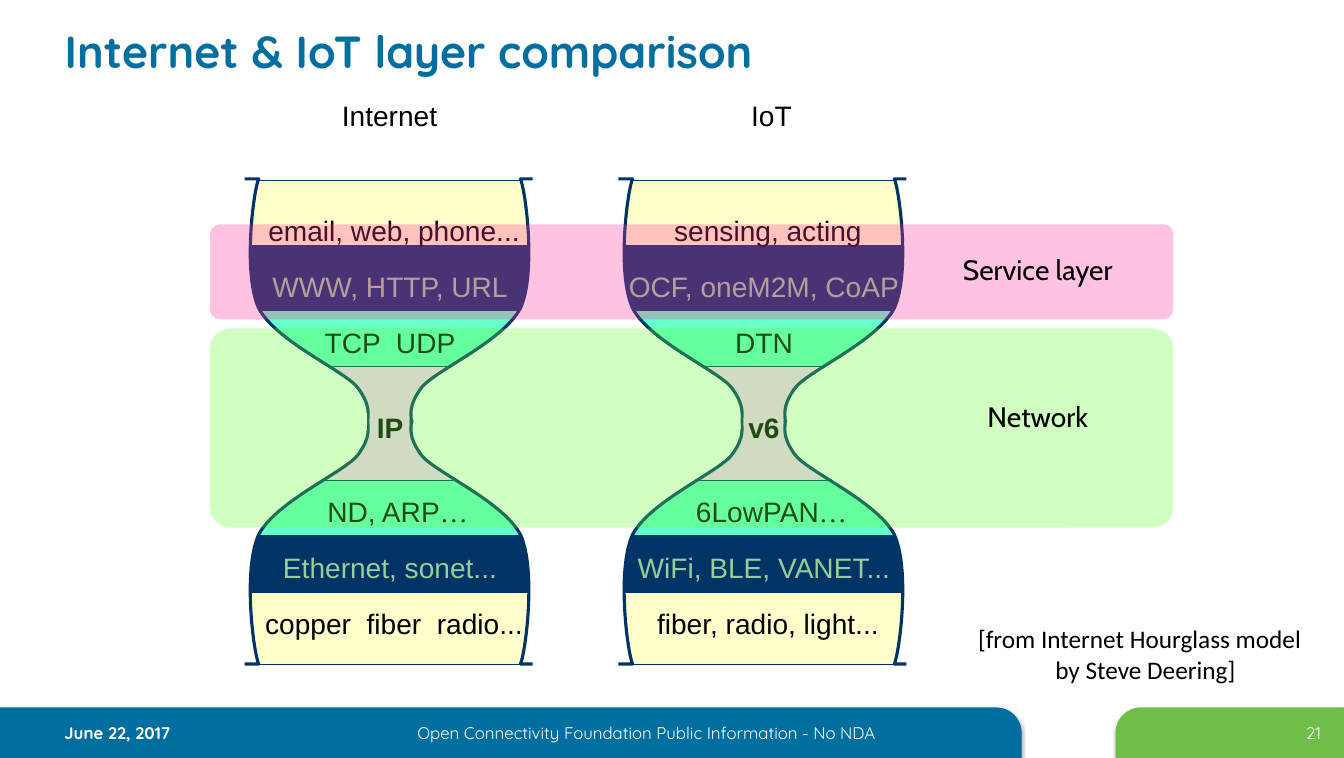
from dataclasses import dataclass
from lxml.etree import SubElement
from pptx import Presentation
from pptx.dml.color import RGBColor
from pptx.enum.shapes import MSO_SHAPE
from pptx.enum.text import MSO_ANCHOR, PP_ALIGN
from pptx.oxml.ns import qn
from pptx.util import Pt

PX = 9144  # EMU per px, 100 px to the inch


@dataclass(frozen=True)
class Theme:
    blue: str = "006E9F"
    leaf: str = "6EBE49"
    navy: str = "003366"
    mint: str = "66FFCC"
    cream: str = "FFFFCC"
    rose: str = "FFCCFF"
    sage: str = "99CC99"
    pink: str = "FF3399"
    lime: str = "66FF33"
    white: str = "FFFFFF"
    black: str = "000000"
    head: str = "Quicksand"
    label: str = "Cabin"
    body: str = "Arial"
    note: str = "Calibri"
    dots: str = "Times New Roman"
    big: int = 32
    mid: int = 20
    small: int = 18
    tiny: int = 12


T = Theme()
LEFT, MID, RIGHT = PP_ALIGN.LEFT, PP_ALIGN.CENTER, PP_ALIGN.RIGHT

# Content
TITLE = "Internet & IoT layer comparison"
GLASSES = [
    ("Internet", 239, 177, ["email, web, phone...", "WWW, HTTP, URL", "TCP  UDP", "IP",
                            "ND, ARP…", "Ethernet, sonet...", "copper  fiber  radio..."]),
    ("IoT", 609, 555, ["sensing, acting", "OCF, oneM2M, CoAP", "DTN", "v6",
                       "6LowPAN…", "WiFi, BLE, VANET...", "fiber, radio, light..."]),
]
# Layers from top to bottom: height, fill, text colour, space before in points, indent
LAYERS = [(64, T.cream, T.black, 0, 8), (64, T.navy, T.sage, 10, 0),
          (56, T.mint, T.black, 10, 0), (112, T.rose, T.black, 30, 0),
          (55, T.mint, T.black, 30, 15), (56, T.navy, T.sage, 10, 0),
          (72, T.cream, T.black, 10, 8)]
NECK = 3
# Bands: top, height, fill, opacity, label, label top
BANDS = [(325, 197, T.lime, 30, "Network", 394),
         (222, 94, T.pink, 29, "Service layer", 249)]
BARS = [(0, 1011, T.blue, False), (1104, 226, T.leaf, True)]
SOURCE = [("[from Internet Hourglass model", LEFT), ("by Steve Deering]", MID)]
# Footer: text, box, alignment, bold
FOOT = [("June 22, 2017", (54, 710, 254, 29), LEFT, True),
        ("Open Connectivity Foundation Public Information - No NDA",
         (327, 710, 626, 28), MID, False),
        ("21", (1183, 710, 134, 38), RIGHT, False)]

# Hourglass outline: top left quarter, relative to the glass
TOP, WAIST, WIDE = 177, 417, 293
START = (17, TOP)
CURVES = [((12, 188), (1, 270), (17, 305)),
          ((35, 339), (105, 368), (116, 385)),
          ((128, 402), (125, 410), (125, WAIST))]
EDGE = [(0, WAIST), (0, TOP)]
MASKS = [(-5, 169, 8, 495), (288, 169, 8, 495), (-7, 409, 131, 16), (170, 409, 131, 16)]

deck = Presentation()
deck.slide_width, deck.slide_height = 1330 * PX, 750 * PX
slide = deck.slides.add_slide(deck.slide_layouts[5])
shapes = slide.shapes


def rgb(hue):
    return RGBColor.from_string(hue)


def paint(shape, fill, line=None, weight=0.75):
    shape.shadow.inherit = False
    shape.fill.solid()
    shape.fill.fore_color.rgb = rgb(fill)
    if line:
        shape.line.color.rgb = rgb(line)
        shape.line.width = Pt(weight)
    else:
        shape.line.fill.background()
    return shape


def block(box, fill, line=None, kind=MSO_SHAPE.RECTANGLE):
    return paint(shapes.add_shape(kind, *(n * PX for n in box)), fill, line)


def add_run(para, text, face, size, hue, bold=False):
    run = para.add_run()
    run.text = text
    font = run.font
    font.name, font.size, font.bold = face, Pt(size), bold
    font.color.rgb = rgb(hue)


def text_box(box):
    frame = shapes.add_textbox(*(n * PX for n in box)).text_frame
    frame.word_wrap = True
    return frame


def label(box, text, face, size, hue, align=MID, bold=False, lead=None):
    para = text_box(box).paragraphs[0]
    para.alignment, para.line_spacing = align, lead
    add_run(para, text, face, size, hue, bold)


def next_para(frame, num):
    return frame.add_paragraph() if num else frame.paragraphs[0]


def quarter(place):
    """One corner cut-out; place maps a point of the top left quarter to the slide."""
    dots = [place(*dot) for dot in (START, *sum(CURVES, ()), *EDGE)]
    form = shapes.build_freeform(*dots[0], scale=float(PX))
    form.add_line_segments(dots[1:], close=True)
    shape = paint(form.convert_to_shape(), T.white, T.navy, 2.25)
    # Each three points of the curves become one Bezier segment
    route = next(shape.element.iter(qn("a:path")))
    legs = route.findall(qn("a:lnTo"))
    for num in range(0, 3 * len(CURVES), 3):
        bend = SubElement(route, qn("a:cubicBezTo"))
        legs[num].addprevious(bend)
        for leg in legs[num:num + 3]:
            bend.append(leg[0])
            route.remove(leg)


def glass(left, words):
    # Layers
    top = 179
    for high, fill, *_ in LAYERS:
        block((left, top, 292, high), fill, T.navy)
        top += high
    # Layer names
    frame = text_box((left - 7, 198, 308, 465))
    for num, (text, (_, _, hue, gap, dent)) in enumerate(zip(words, LAYERS)):
        para = next_para(frame, num)
        para.alignment, para.line_spacing, para.space_before = MID, 1.25, Pt(gap)
        if dent:
            para._p.get_or_add_pPr().set("marL", str(dent * PX))
        add_run(para, text.rstrip("…"), T.body, T.mid, hue, num == NECK)
        if text.endswith("…"):
            add_run(para, "…", T.dots, T.mid, hue)
    # Four mirrored quarters cut the layers to shape
    for flip_x in (False, True):
        for flip_y in (False, True):
            quarter(lambda x, y: (left + (WIDE - x if flip_x else x),
                                  2 * WAIST - y if flip_y else y))
    for x, y, wide, high in MASKS:
        block((left + x, y, wide, high), T.white)


# Footer bars
for left, wide, fill, flip in BARS:
    bar = block((left, 700, wide, 50), fill, kind=MSO_SHAPE.ROUND_1_RECTANGLE)
    bar.adjustments[0] = 0.5
    props = bar.element.spPr
    if flip:
        props.find(qn("a:xfrm")).set("flipH", "1")
    shade = SubElement(props.find(qn("a:effectLst")), qn("a:outerShdw"), blurRad=str(Pt(3.1)),
                       dist=str(Pt(1.8)), dir="5400000", rotWithShape="0")
    tint = SubElement(shade, qn("a:srgbClr"), val=T.black)
    SubElement(tint, qn("a:alpha"), val="35000")

# Title
title = shapes.title
title.left, title.top, title.width, title.height = (n * PX for n in (54, 10, 1126, 79))
title.text_frame.vertical_anchor = MSO_ANCHOR.MIDDLE
para = title.text_frame.paragraphs[0]
para.alignment = LEFT
add_run(para, TITLE, T.head, T.big, T.blue, True)

# Hourglasses
for name, left, head, words in GLASSES:
    glass(left, words)
    label((head, 96, 417, 40), name, T.body, T.mid, T.black, lead=0.9)

# Bands across both glasses
for top, high, fill, alpha, name, at in BANDS:
    band = block((208, top, 953, high), fill, kind=MSO_SHAPE.ROUNDED_RECTANGLE)
    band.adjustments[0] = 0.1
    tint = band.element.spPr.find(qn("a:solidFill"))[0]
    SubElement(tint, qn("a:alpha"), val=str(alpha * 1000))
    label((901, at, 252, 40), name, T.label, T.mid, T.black, lead=0.9)

# Source note
frame = text_box((958, 612, 351, 71))
for num, (text, align) in enumerate(SOURCE):
    para = next_para(frame, num)
    para.alignment = align
    add_run(para, text, T.note, T.small, T.black)

# Footer text
for text, box, align, bold in FOOT:
    label(box, text, T.head, T.tiny, T.white, align, bold)

deck.save("out.pptx")
